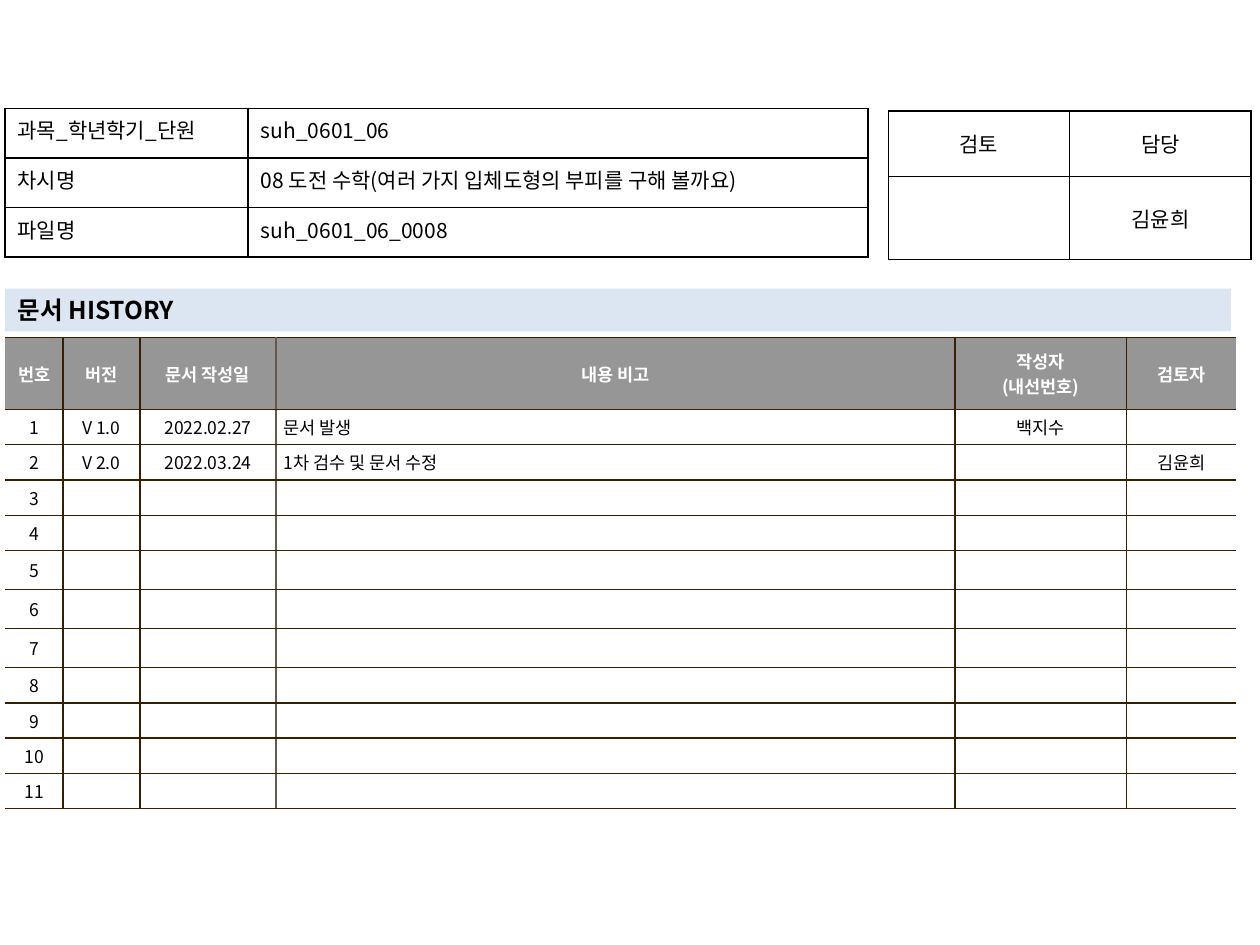
import pptx
import pptx.dml.color
import pptx.enum.text
import pptx.oxml.ns
import pptx.util
from lxml import etree

FONT = "Noto Sans CJK KR"
NOGRID = "{2D5ABB26-0587-4C30-8999-92F81FD0307C}"
COLS, ROWS = 100, 75
WIDE, HIGH = pptx.util.Inches(10), pptx.util.Inches(7.5)
ALIGN = pptx.enum.text.PP_ALIGN
ANCHOR = pptx.enum.text.MSO_ANCHOR
qn = pptx.oxml.ns.qn


def tint(code):
    """Turn a hex string into a colour."""
    return pptx.dml.color.RGBColor.from_string(code)


def place(box):
    """Turn a box in grid columns and rows into slide lengths."""
    x, y, w, h = box
    return [int(n) for n in (x * WIDE / COLS, y * HIGH / ROWS,
                             w * WIDE / COLS, h * HIGH / ROWS)]


def write(para, text, size, color="000000", bold=False, align=ALIGN.LEFT):
    """Add one formatted run, or size the paragraph when it is empty."""
    para.alignment = align
    if not text:
        etree.SubElement(para._p, qn("a:endParaRPr"), sz=str(size * 100))
        return
    run = para.add_run()
    run.text = text
    font = run.font
    font.name, font.size, font.bold = FONT, pptx.util.Pt(size), bold
    font.color.rgb = tint(color)
    latin = run._r.rPr.find(qn("a:latin"))
    latin.addnext(etree.Element(qn("a:ea"), typeface=FONT))


def edge(cell, sides):
    """Draw the borders of a cell from a map of side to colour."""
    props = cell._tc.get_or_add_tcPr()
    for spot, side in enumerate(s for s in "LRTB" if s in sides):
        line = etree.Element(qn("a:ln" + side), w="12700")
        fill = etree.SubElement(line, qn("a:solidFill"))
        etree.SubElement(fill, qn("a:srgbClr"), val=sides[side])
        props.insert(spot, line)


def grid(slide, box, cols, rows):
    """Add a plain table whose columns and rows share out the box."""
    x, y, w, h = place(box)
    frame = slide.shapes.add_table(len(rows), len(cols), x, y, w, h)
    table = frame.table
    table.first_row = table.horz_banding = False
    table._tbl.tblPr.find(qn("a:tableStyleId")).text = NOGRID
    for col, part in zip(table.columns, cols):
        col.width = int(w * part / sum(cols))
    for row, part in zip(table.rows, rows):
        row.height = int(h * part / sum(rows))
    return table


def fill_in(cell, text, size, anchor, **look):
    """Put text in a cell, one paragraph for each line."""
    cell.vertical_anchor = anchor
    for i, line in enumerate(text.split("\n")):
        frame = cell.text_frame
        para = frame.add_paragraph() if i else frame.paragraphs[0]
        write(para, line, size, **look)


def form(slide, box, cols, rows, data, aligns, anchor):
    """Place a boxed table with black rules."""
    table = grid(slide, box, cols, rows)
    for r, line in enumerate(data):
        for c, text in enumerate(line):
            cell = table.cell(r, c)
            cell.fill.background()
            edge(cell, dict.fromkeys("LRTB", "000000"))
            fill_in(cell, text, 12, anchor, align=aligns[c])


def band(slide, box, text):
    """Place the section title on a tinted band."""
    title = slide.shapes.title
    title.left, title.top, title.width, title.height = place(box)
    title.fill.solid()
    title.fill.fore_color.rgb = tint("DCE6F2")
    frame = title.text_frame
    frame.auto_size = pptx.enum.text.MSO_AUTO_SIZE.NONE
    frame.vertical_anchor = ANCHOR.MIDDLE
    write(frame.paragraphs[0], text, 14, bold=True)


def history(slide, box, heads, data):
    """Place the version table, open at its left and right sides."""
    cols = [0.46, 0.61, 1.08, 5.39, 1.36, 0.87]
    rows = [0.57] + [0.28] * 4 + [0.31] * 3 + [0.28] * 4
    rules = [None, "362000", "362000", "645B4C", "362000", "362000", None]
    table = grid(slide, box, cols, rows)
    for r, line in enumerate([heads] + data):
        for c, text in enumerate(line):
            cell = table.cell(r, c)
            cell.margin_left = cell.margin_right = pptx.util.Inches(0.06)
            cell.margin_top = cell.margin_bottom = pptx.util.Inches(0.04)
            cell.fill.solid()
            cell.fill.fore_color.rgb = tint("FFFFFF" if r else "969696")
            sides = {"L": rules[c], "R": rules[c + 1],
                     "T": "362000", "B": "362000"}
            edge(cell, {k: v for k, v in sides.items() if v})
            fill_in(cell, text, 10, ANCHOR.MIDDLE, bold=not r,
                    color="000000" if r else "FFFFFF",
                    align=ALIGN.LEFT if r and c == 3 else ALIGN.CENTER)


def main():
    """Build the document history slide."""
    deck = pptx.Presentation()
    deck.slide_width, deck.slide_height = WIDE, HIGH
    slide = deck.slides.add_slide(deck.slide_layouts[5])
    band(slide, (0.4, 22.9, 97.3, 3.4), "문서 HISTORY")
    notes = [["V 1.0", "2022.02.27", "문서 발생", "백지수", ""],
             ["V 2.0", "2022.03.24", "1차 검수 및 문서 수정", "", "김윤희"]]
    notes += [[""] * 5] * 9
    history(slide, (0.4, 26.8, 97.7, 37.4),
            ["번호", "버전", "문서 작성일", "내용 비고",
             "작성자\n(내선번호)", "검토자"],
            [[str(n)] + line for n, line in enumerate(notes, 1)])
    form(slide, (70.5, 8.8, 28.8, 11.8), [1, 1], [0.52, 0.66],
         [["검토", "담당"], ["", "김윤희"]],
         [ALIGN.CENTER] * 2, ANCHOR.MIDDLE)
    form(slide, (0.4, 8.6, 68.5, 11.8), [1.93, 4.92], [1, 1, 1],
         [["과목_학년학기_단원", "suh_0601_06"],
          ["차시명", "08 도전 수학(여러 가지 입체도형의 부피를 구해 볼까요)"],
          ["파일명", "suh_0601_06_0008"]],
         [ALIGN.JUSTIFY, ALIGN.LEFT], ANCHOR.TOP)
    deck.save("out.pptx")


if __name__ == "__main__":
    main()
